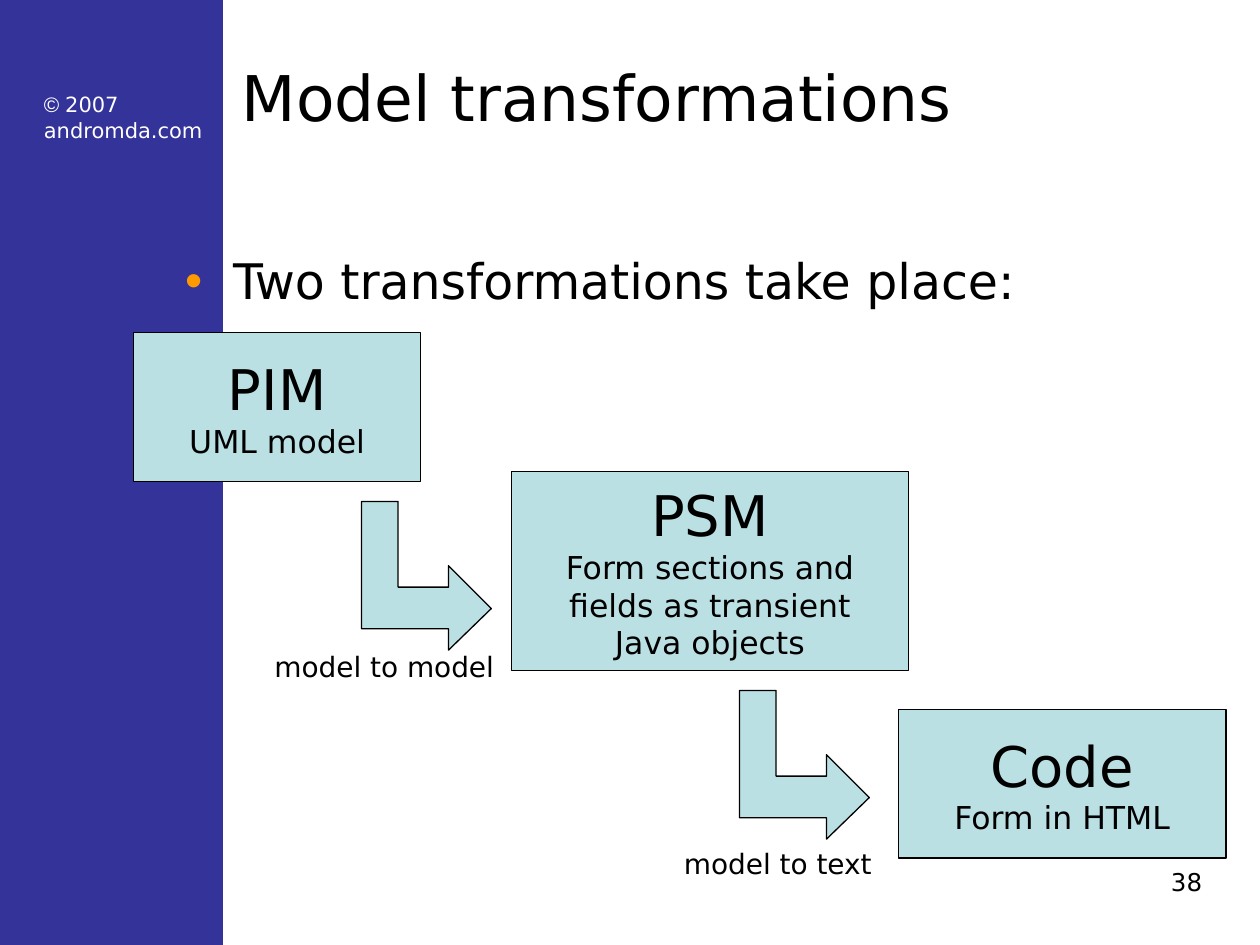
"""Builds a slide on the two model transformations from PIM to code."""
from lxml import etree
from pptx import Presentation
from pptx import util as u
from pptx.dml import color
from pptx.enum import shapes, text
from pptx.oxml import ns

HUES = {"ink": "000000", "paper": "FFFFFF", "band": "333399",
        "box": "BBE0E3", "dot": "FF9900"}
ARROW = [(0, 0), (0.29, 0), (0.29, 0.68), (0.69, 0.68), (0.69, 0.51),
         (1.03, 0.85), (0.69, 1.18), (0.69, 1.01), (0, 1.01)]


class Deck:
    """Holds the style and the current slide."""

    def __init__(self, font="DejaVu Sans"):
        self.font = font
        self.prs = Presentation()
        self.prs.slide_width, self.prs.slide_height = u.Inches(10), u.Inches(7.5)
        self.slide = self.prs.slides.add_slide(self.prs.slide_layouts[1])

    def hue(self, name):
        return color.RGBColor.from_string(HUES[name])

    def run(self, para, words, size, hue="ink", font=None):
        for i, line in enumerate(words.split("\n")):
            if i:
                para.add_line_break()
            run = para.add_run()
            run.text = line
            run.font.size = u.Pt(size)
            run.font.name = font or self.font
            run.font.color.rgb = self.hue(hue)

    def paint(self, shape, fill, line=None):
        shape.shadow.inherit = False
        shape.fill.solid()
        shape.fill.fore_color.rgb = self.hue(fill)
        if line:
            shape.line.color.rgb = self.hue(line)
            shape.line.width = u.Pt(0.75)
        else:
            shape.line.fill.background()

    def rect(self, spot, fill, line=None):
        shape = self.slide.shapes.add_shape(
            shapes.MSO_SHAPE.RECTANGLE, *map(u.Inches, spot))
        self.paint(shape, fill, line)
        return shape

    def box(self, spot, head, note):
        frame = self.rect(spot, "box", "ink").text_frame
        frame.word_wrap = False
        frame.vertical_anchor = text.MSO_ANCHOR.MIDDLE
        for para, words, size in ((frame.paragraphs[0], head, 32),
                                  (frame.add_paragraph(), note, 18)):
            para.alignment = text.PP_ALIGN.CENTER
            self.run(para, words, size)

    def arrow(self, left, top):
        pts = [(u.Inches(left + x), u.Inches(top + y)) for x, y in ARROW]
        form = self.slide.shapes.build_freeform(*pts[0])
        form.add_line_segments(pts[1:], close=True)
        self.paint(form.convert_to_shape(), "box", "ink")

    def label(self, spot, runs, align=text.PP_ALIGN.LEFT):
        frame = self.slide.shapes.add_textbox(*map(u.Inches, spot)).text_frame
        frame.word_wrap = True
        para = frame.paragraphs[0]
        para.alignment = align
        for item in runs:
            self.run(para, *item)

    def holder(self, index, spot, words, size, anchor):
        shape = self.slide.placeholders[index]
        shape.left, shape.top, shape.width, shape.height = map(u.Inches, spot)
        frame = shape.text_frame
        frame.auto_size = text.MSO_AUTO_SIZE.NONE
        frame.vertical_anchor = anchor
        para = frame.paragraphs[0]
        para.alignment = text.PP_ALIGN.LEFT
        para.space_before = u.Pt(0)
        self.run(para, words, size)
        return para

    def title(self, spot, words):
        self.holder(0, spot, words, 36, text.MSO_ANCHOR.MIDDLE)

    def bullet(self, spot, words):
        para = self.holder(1, spot, words, 28, text.MSO_ANCHOR.TOP)
        props = para._p.get_or_add_pPr()
        props.set("marL", str(u.Inches(0.38)))
        props.set("indent", str(u.Inches(-0.38)))
        tint = etree.SubElement(props, ns.qn("a:buClr"))
        etree.SubElement(tint, ns.qn("a:srgbClr"), val=HUES["dot"])
        etree.SubElement(props, ns.qn("a:buFont"), typeface="Arial")
        etree.SubElement(props, ns.qn("a:buChar"), char="•")

    def save(self):
        self.prs.save("out.pptx")


def main():
    deck = Deck()
    band = deck.rect((0, 0, 1.77, 7.5), "band")
    tree = deck.slide.shapes._spTree
    tree.insert(2, band._element)
    deck.label((0.25, 0.68, 1.58, 0.5),
               [("© ", 12, "paper", "Arial"),
                ("2007\nandromda.com", 12, "paper")])
    deck.title((1.82, 0.14, 8.14, 1.25), "Model transformations")
    deck.bullet((1.37, 1.94, 8.28, 4.76), "Two transformations take place:")
    deck.box((1.06, 2.64, 2.28, 1.18), "PIM", "UML model")
    deck.box((4.06, 3.74, 3.15, 1.58), "PSM",
             "Form sections and\nfields as transient\nJava objects")
    deck.box((7.13, 5.63, 2.6, 1.18), "Code", "Form in HTML")
    for left, top in ((2.87, 3.98), (5.87, 5.48)):
        deck.arrow(left, top)
    deck.label((2.08, 5.11, 2.36, 0.37), [("model to model", 16)])
    deck.label((5.33, 6.67, 1.96, 0.37), [("model to text", 16)])
    deck.label((7.11, 6.83, 2.53, 0.52), [("38", 14)], text.PP_ALIGN.RIGHT)
    deck.save()


if __name__ == "__main__":
    main()
